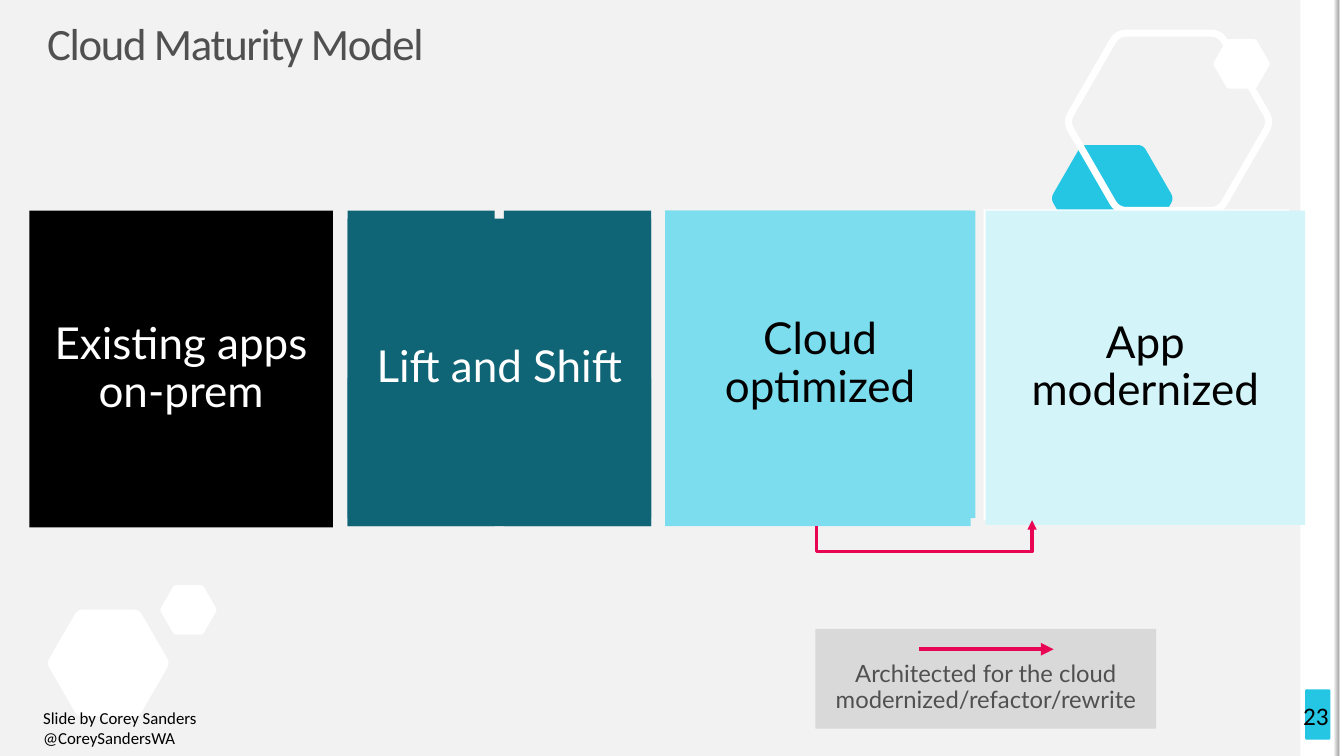
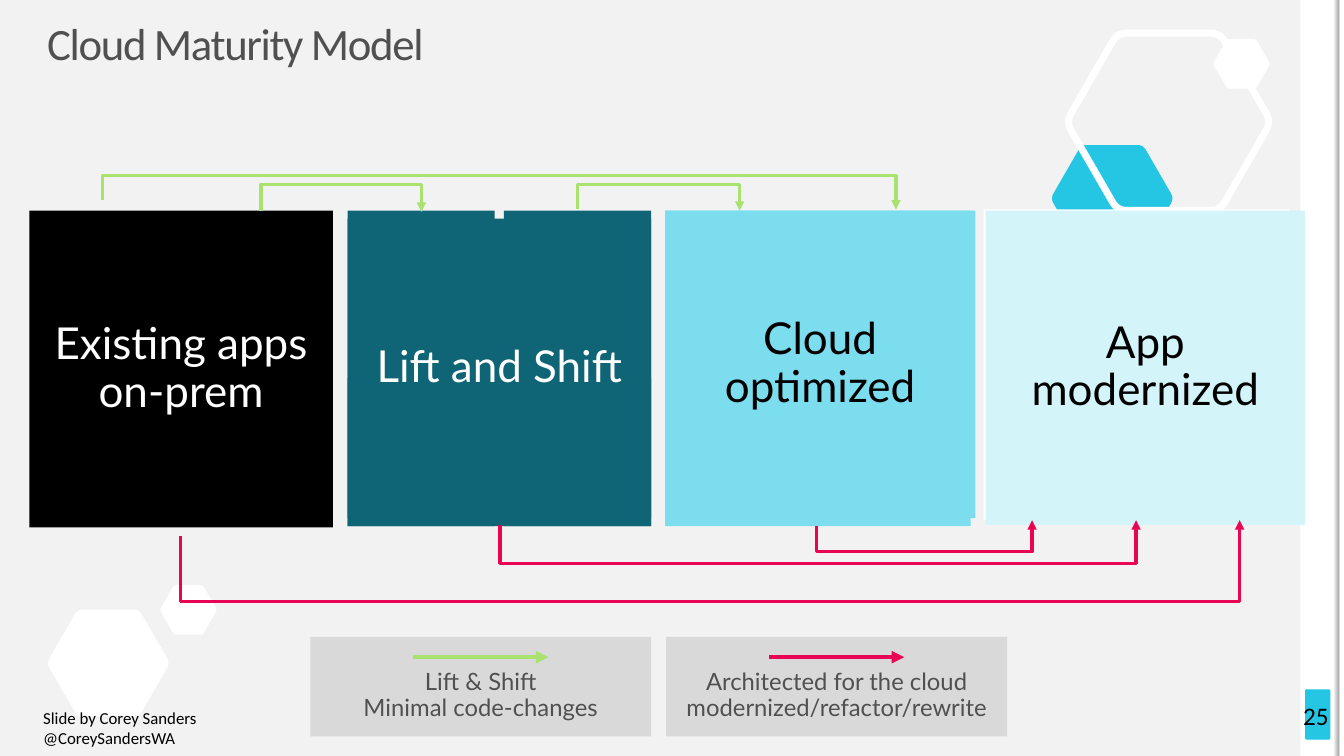
from dataclasses import dataclass
from math import cos, pi, sin
from typing import NamedTuple, Optional

from lxml.etree import SubElement
from pptx import Presentation
from pptx.dml.color import RGBColor as Rgb
from pptx.enum.shapes import MSO_CONNECTOR as Connector
from pptx.enum.shapes import MSO_SHAPE as Preset
from pptx.enum.text import MSO_ANCHOR as Anchor
from pptx.enum.text import PP_ALIGN as Align
from pptx.oxml.ns import qn
from pptx.util import Cm, Pt


@dataclass(frozen=True)
class Theme:
    background: str = "F2F2F2"
    white: str = "FFFFFF"
    black: str = "000000"
    accent: str = "25C6E3"
    text: str = "505050"
    panel: str = "D9D9D9"
    shade: str = "A6A6A6"
    teal: str = "0F6575"
    sky: str = "7CDDEE"
    pale: str = "D3F4F9"
    lift: str = "A9E26F"
    architected: str = "E80554"
    heading_font: str = "Calibri"
    label_font: str = "Lato"
    title_size: float = 32
    stage_size: float = 31.4
    legend_size: float = 17
    number_size: float = 18
    credit_size: float = 12


THEME = Theme()


class Box(NamedTuple):
    """Left, top, width and height in centimetres."""
    left: float
    top: float
    width: float
    height: float


class Hexagon(NamedTuple):
    x: float
    y: float
    height: float
    fill: Optional[str]


class Stage(NamedTuple):
    label: str
    box: Box
    fill: str
    text_color: str
    backs: tuple[Box, ...] = ()
    back_fill: str = ""


class Route(NamedTuple):
    """Three-part arrow: out of the start, along a level rail, into the end."""
    start_x: float
    start_y: float
    rail_y: float
    end_x: float
    end_y: float
    color: str


class Legend(NamedTuple):
    left: float
    top: float
    text: str
    color: str


class MaturitySlide(NamedTuple):
    number: str
    routes: tuple[Route, ...]
    legends: tuple[Legend, ...]


HEXAGONS = (
    Hexagon(2.73, 16.71, 2.69, THEME.white),
    Hexagon(28.03, 5, 2.69, THEME.accent),
    Hexagon(29.45, 3.07, 4.47, None),
    Hexagon(4.75, 15.37, 1.25, THEME.white),
    Hexagon(31.29, 1.61, 1.25, THEME.white),
)

STAGES = (
    Stage("Existing apps\non-prem", Box(0.74, 5.31, 7.65, 7.98), THEME.black, THEME.white),
    Stage("Cloud optimized", Box(16.76, 5.31, 7.82, 7.75), THEME.sky, THEME.black,
          (Box(16.76, 5.31, 7.7, 7.95),), THEME.sky),
    Stage("Lift and Shift", Box(8.76, 5.51, 7.65, 7.54), THEME.teal, THEME.white,
          (Box(8.76, 5.31, 3.71, 7.95), Box(12.7, 5.31, 3.71, 7.95),
           Box(8.76, 9.53, 7.65, 3.73)), THEME.teal),
    Stage("App modernized", Box(24.84, 5.31, 8.05, 7.92), THEME.pale, THEME.black,
          (Box(24.79, 5.28, 7.7, 7.82),), THEME.white),
)

OPTIMIZED_TO_MODERN = Route(20.57, 13.26, 13.9, 26.01, 13.11, THEME.architected)
ALL_ROUTES = (
    Route(14.55, 5.28, 4.65, 18.64, 5.31, THEME.lift),
    Route(6.58, 5.31, 4.65, 10.62, 5.34, THEME.lift),
    Route(2.59, 5.05, 4.42, 22.58, 5.28, THEME.lift),
    Route(4.55, 13.51, 15.16, 31.24, 13.11, THEME.architected),
    OPTIMIZED_TO_MODERN,
    Route(12.6, 13.23, 14.2, 28.63, 13.11, THEME.architected),
)

LIFT_TEXT = "Lift & Shift\nMinimal code-changes"
ARCHITECTED_TEXT = "Architected for the cloud\nmodernized/refactor/rewrite"

SLIDES = (
    MaturitySlide("23", (OPTIMIZED_TO_MODERN,),
                  (Legend(20.55, 15.85, ARCHITECTED_TEXT, THEME.architected),)),
    MaturitySlide("25", ALL_ROUTES,
                  (Legend(7.82, 16.05, LIFT_TEXT, THEME.lift),
                   Legend(16.79, 16.05, ARCHITECTED_TEXT, THEME.architected))),
)


def rgb(color: str) -> Rgb:
    return Rgb.from_string(color)


def lengths(box: Box) -> list[int]:
    return [Cm(value) for value in box]


def write(shape, text: str, font: str, size: float, color: str, align=Align.LEFT,
          anchor=Anchor.MIDDLE, insets: tuple[float, float] = (0.25, 0.13),
          spacing: float = 1) -> None:
    frame = shape.text_frame
    frame.text = text
    frame.word_wrap = True
    frame.vertical_anchor = anchor
    frame.margin_left = frame.margin_right = Cm(insets[0])
    frame.margin_top = frame.margin_bottom = Cm(insets[1])
    for paragraph in frame.paragraphs:
        paragraph.alignment = align
        paragraph.line_spacing = spacing
        for run in paragraph.runs:
            run.font.name = font
            run.font.size = Pt(size)
            run.font.color.rgb = rgb(color)


def add_block(slide, box: Box, fill: str, preset=Preset.RECTANGLE):
    shape = slide.shapes.add_shape(preset, *lengths(box))
    shape.shadow.inherit = False
    shape.fill.solid()
    shape.fill.fore_color.rgb = rgb(fill)
    shape.line.fill.background()
    return shape


def add_label_block(slide, box: Box, fill: str, text: str, size: float, color: str,
                    anchor=Anchor.MIDDLE) -> None:
    block = add_block(slide, box, fill)
    write(block, text, THEME.label_font, size, color, Align.CENTER, anchor, (0.48, 0.38), 0.9)


def hexagon_points(hexagon: Hexagon) -> list[tuple[int, int]]:
    """Regular hexagon whose corners are rounded by sampled quadratic curves."""
    radius, cut, steps = hexagon.height / 3 ** 0.5, 0.09, 5
    corners = [(hexagon.x + radius * cos(k * pi / 3), hexagon.y + radius * sin(k * pi / 3))
               for k in range(6)]
    points = []
    for index, corner in enumerate(corners):
        before, after = corners[index - 1], corners[(index + 1) % 6]
        for step in range(steps + 1):
            t = step / steps
            pull_before, pull_after = cut * (1 - t) ** 2, cut * t ** 2
            x, y = (c + pull_before * (b - c) + pull_after * (a - c)
                    for b, c, a in zip(before, corner, after))
            points.append((Cm(x), Cm(y)))
    return points


def add_hexagon(slide, hexagon: Hexagon):
    points = hexagon_points(hexagon)
    builder = slide.shapes.build_freeform(*points[0])
    builder.add_line_segments(points[1:], close=True)
    shape = builder.convert_to_shape()
    shape.shadow.inherit = False
    if hexagon.fill:
        shape.fill.solid()
        shape.fill.fore_color.rgb = rgb(hexagon.fill)
        shape.line.fill.background()
    else:
        shape.fill.background()
        shape.line.color.rgb = rgb(THEME.white)
        shape.line.width = Pt(5)
    return shape


def add_arrow(slide, kind, ends: tuple[float, float, float, float], color: str, width: float):
    connector = slide.shapes.add_connector(kind, *(Cm(value) for value in ends))
    connector.line.color.rgb = rgb(color)
    connector.line.width = Pt(width)
    properties = connector.element.spPr
    SubElement(properties.find(qn("a:ln")), qn("a:tailEnd"), type="triangle")
    SubElement(properties, qn("a:effectLst"))
    return connector


def add_route(slide, route: Route) -> None:
    """Turn an elbow connector upright and push its middle part to the rail."""
    rise = route.end_y - route.start_y
    run = route.end_x - route.start_x
    connector = add_arrow(slide, Connector.ELBOW,
                          (route.start_x, route.start_y, route.end_x, route.end_y),
                          route.color, 2.25)
    connector.width, connector.height = Cm(abs(rise)), Cm(run)
    connector.left = Cm((route.start_x + route.end_x - abs(rise)) / 2)
    connector.top = Cm((route.start_y + route.end_y - run) / 2)
    properties = connector.element.spPr
    frame = properties.find(qn("a:xfrm"))
    frame.set("flipH", "1")
    frame.set("flipV", "1" if rise < 0 else "0")
    frame.set("rot", str((90 if rise < 0 else 270) * 60000))
    guides = properties.find(qn("a:prstGeom")).find(qn("a:avLst"))
    ratio = round((route.rail_y - route.start_y) / rise * 100000)
    SubElement(guides, qn("a:gd"), name="adj1", fmla=f"val {ratio}")


def add_stage(slide, stage: Stage) -> None:
    for back in stage.backs:
        add_block(slide, back, stage.back_fill)
    add_label_block(slide, stage.box, stage.fill, stage.label, THEME.stage_size,
                    stage.text_color)


def add_legend(slide, legend: Legend) -> None:
    add_label_block(slide, Box(legend.left, legend.top, 8.59, 2.51), THEME.panel, legend.text,
                    THEME.legend_size, THEME.text, Anchor.BOTTOM)
    left, level = legend.left + 2.6, legend.top + 0.51
    add_arrow(slide, Connector.STRAIGHT, (left, level, left + 3.4, level), legend.color, 3)


def decorate_layout(layout, slide) -> None:
    """Draw the shared decoration on a slide, then move it to the layout."""
    layout.background.fill.solid()
    layout.background.fill.fore_color.rgb = rgb(THEME.background)
    title = layout.placeholders[0]
    title.left, title.top, title.width, title.height = lengths(Box(1.19, 0.57, 31.47, 1.19))

    band = add_block(slide, Box(32.77, 0, 0.99, 19.05), THEME.white)
    tab = add_block(slide, Box(32.89, 17.37, 0.64, 1.27), THEME.accent,
                    Preset.ROUNDED_RECTANGLE)
    tab.adjustments[0] = 0.07
    edge = add_block(slide, Box(33.74, 0, 0.13, 19.05), THEME.white)
    shade = add_block(slide, Box(33.62, 0, 0.13, 19.05), THEME.shade)
    shade.fill.gradient()
    shade.fill.gradient_angle = 0
    for stop, color in zip(shade.fill.gradient_stops, (THEME.background, THEME.shade)):
        stop.color.rgb = rgb(color)
    hexagons = [add_hexagon(slide, hexagon) for hexagon in HEXAGONS]
    for shape in (band, tab, edge, shade, *hexagons):
        layout.shapes.element.append(shape.element)


def fill_slide(slide, content: MaturitySlide) -> None:
    title = slide.shapes.title
    write(title, "Cloud Maturity Model", THEME.heading_font, THEME.title_size, THEME.text,
          insets=(0, 0), spacing=0.9)
    for run in title.text_frame.paragraphs[0].runs:
        run.font.element.set("spc", "-100") if hasattr(run.font, "element") else \
            run._r.get_or_add_rPr().set("spc", "-100")
    for stage in STAGES:
        add_stage(slide, stage)
    for route in content.routes:
        add_route(slide, route)
    for legend in content.legends:
        add_legend(slide, legend)
    number = slide.shapes.add_textbox(*lengths(Box(32.59, 17.48, 1.3, 1.12)))
    write(number, content.number, THEME.heading_font, THEME.number_size, THEME.black)
    credit = slide.shapes.add_textbox(*lengths(Box(0.84, 17.7, 6.6, 1.27)))
    write(credit, "Slide by Corey Sanders\n@CoreySandersWA", THEME.heading_font,
          THEME.credit_size, THEME.black, anchor=Anchor.TOP)


def main() -> None:
    presentation = Presentation()
    presentation.slide_width, presentation.slide_height = Cm(33.87), Cm(19.05)
    layout = presentation.slide_layouts[5]
    slides = [presentation.slides.add_slide(layout) for _ in SLIDES]
    decorate_layout(layout, slides[0])
    for slide, content in zip(slides, SLIDES):
        fill_slide(slide, content)
    presentation.save("out.pptx")


if __name__ == "__main__":
    main()
